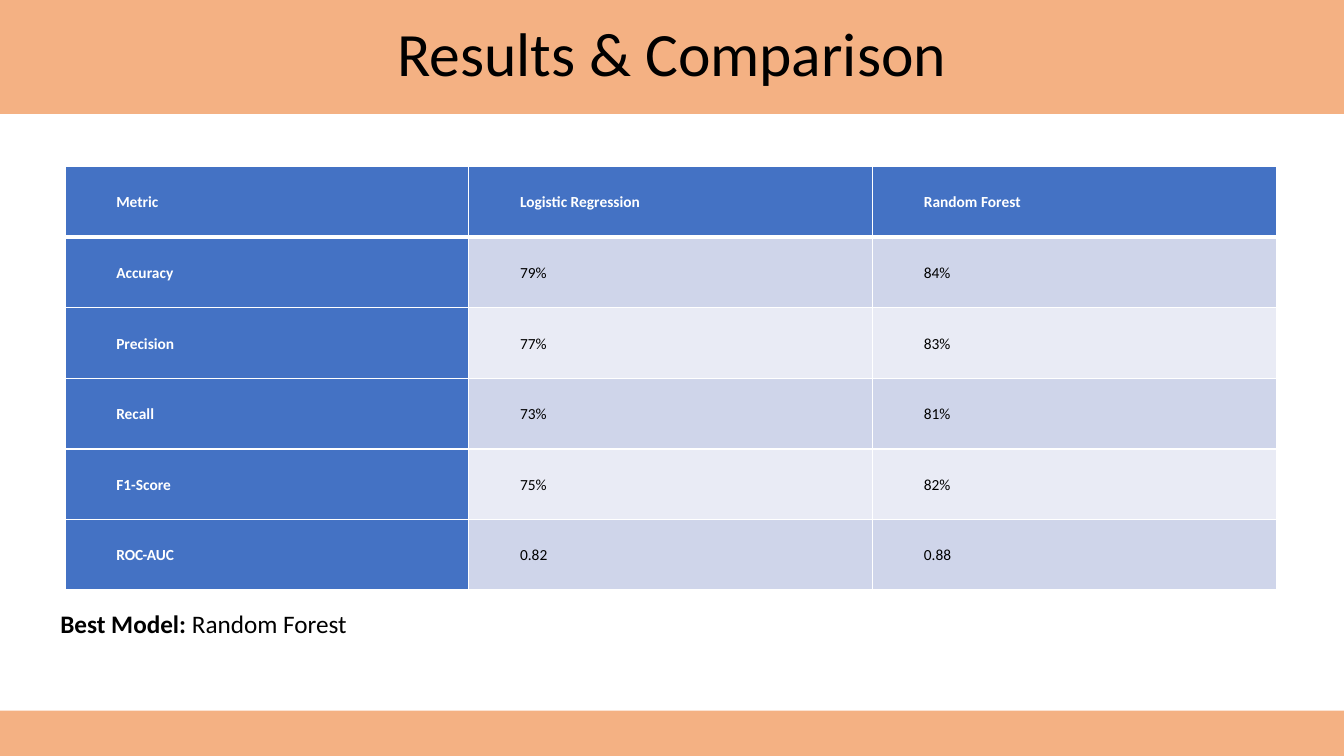
from dataclasses import dataclass

from lxml.etree import SubElement
from pptx import Presentation
from pptx.dml.color import RGBColor as RGB
from pptx.enum.shapes import MSO_SHAPE as SHAPE
from pptx.enum.text import MSO_ANCHOR as ANCHOR, MSO_AUTO_SIZE as AUTO_SIZE, PP_ALIGN as ALIGN
from pptx.oxml.ns import qn
from pptx.util import Cm, Pt


@dataclass(frozen=True)
class Theme:
    font: str = "Calibri"
    band: str = "F4B183"
    header: str = "4472C4"
    stripes: tuple = ("CFD5EA", "E9EBF5")
    dark: str = "000000"
    light: str = "FFFFFF"
    title_size: int = 44
    note_size: int = 18
    table_size: int = 11


THEME = Theme()
WIDTH, HEIGHT = Cm(33.87), Cm(19.05)
METRICS = [
    ("Metric", "Logistic Regression", "Random Forest"),
    ("Accuracy", "79%", "84%"),
    ("Precision", "77%", "83%"),
    ("Recall", "73%", "81%"),
    ("F1-Score", "75%", "82%"),
    ("ROC-AUC", "0.82", "0.88"),
]


def add_run(p, text, *, size, color=THEME.dark, bold=False):
    r = p.add_run()
    r.text = text
    r.font.name = THEME.font
    r.font.size = Pt(size)
    r.font.bold = bold
    r.font.color.rgb = RGB.from_string(color)


def format_body(p):
    """Indent a paragraph and give it the spacing of body text."""
    p._p.get_or_add_pPr().set("marL", str(Cm(1.27)))
    p.line_spacing = 1.07
    p.space_after = Pt(8)


def set_borders(cell, bottom):
    """Draw light cell borders; bottom is the width of the lower one in points."""
    tc_pr = cell._tc.get_or_add_tcPr()
    for side, width in (("L", 1), ("R", 1), ("T", 1), ("B", bottom)):
        ln = SubElement(tc_pr, qn(f"a:ln{side}"), w=str(Pt(width)))
        fill = SubElement(ln, qn("a:solidFill"))
        SubElement(fill, qn("a:srgbClr"), val=THEME.light)


def add_band(slide, x, y, w, h, title=None):
    sp = slide.shapes.add_shape(SHAPE.RECTANGLE, x, y, w, h)
    sp.shadow.inherit = False
    sp.fill.solid()
    sp.fill.fore_color.rgb = RGB.from_string(THEME.band)
    sp.line.fill.background()
    if title:
        tf = sp.text_frame
        tf.word_wrap = True
        tf.vertical_anchor = ANCHOR.MIDDLE
        p = tf.paragraphs[0]
        p.alignment = ALIGN.CENTER
        p.line_spacing = 0.9
        add_run(p, title, size=THEME.title_size)


def fill_cell(cell, text, row, col):
    is_header = row == 0 or col == 0
    set_borders(cell, bottom=3 if row == 0 else 1)
    cell.fill.solid()
    color = THEME.header if is_header else THEME.stripes[(row - 1) % 2]
    cell.fill.fore_color.rgb = RGB.from_string(color)
    cell.vertical_anchor = ANCHOR.MIDDLE
    cell.margin_left = cell.margin_right = Cm(0.02)
    cell.margin_top = cell.margin_bottom = Cm(0.02)
    p = cell.text_frame.paragraphs[0]
    format_body(p)
    add_run(p, text, size=THEME.table_size, bold=is_header,
            color=THEME.light if is_header else THEME.dark)


def add_metrics_table(slide, x, y, w, h):
    rows, cols = len(METRICS), len(METRICS[0])
    table = slide.shapes.add_table(rows, cols, x, y, w, h).table
    for column in table.columns:
        column.width = w // cols
    for i, values in enumerate(METRICS):
        table.rows[i].height = h // rows
        for j, text in enumerate(values):
            fill_cell(table.cell(i, j), text, i, j)


def add_best_model(slide, x, y, w, h):
    tf = slide.shapes.add_textbox(x, y, w, h).text_frame
    tf.word_wrap = True
    tf.auto_size = AUTO_SIZE.SHAPE_TO_FIT_TEXT
    p = tf.paragraphs[0]
    format_body(p)
    add_run(p, "Best Model:", size=THEME.note_size, bold=True)
    add_run(p, " Random Forest", size=THEME.note_size)


def build_results_slide(prs):
    slide = prs.slides.add_slide(prs.slide_layouts[6])
    footer = Cm(1.14)
    add_band(slide, 0, 0, WIDTH, Cm(2.87), title="Results & Comparison")
    add_metrics_table(slide, Cm(1.64), Cm(4.2), Cm(30.53), Cm(10.67))
    add_best_model(slide, 0, Cm(15.16), WIDTH // 2, Cm(1.04))
    add_band(slide, 0, HEIGHT - footer, WIDTH, footer)


def main():
    prs = Presentation()
    prs.slide_width, prs.slide_height = WIDTH, HEIGHT
    build_results_slide(prs)
    prs.save("out.pptx")


if __name__ == "__main__":
    main()
